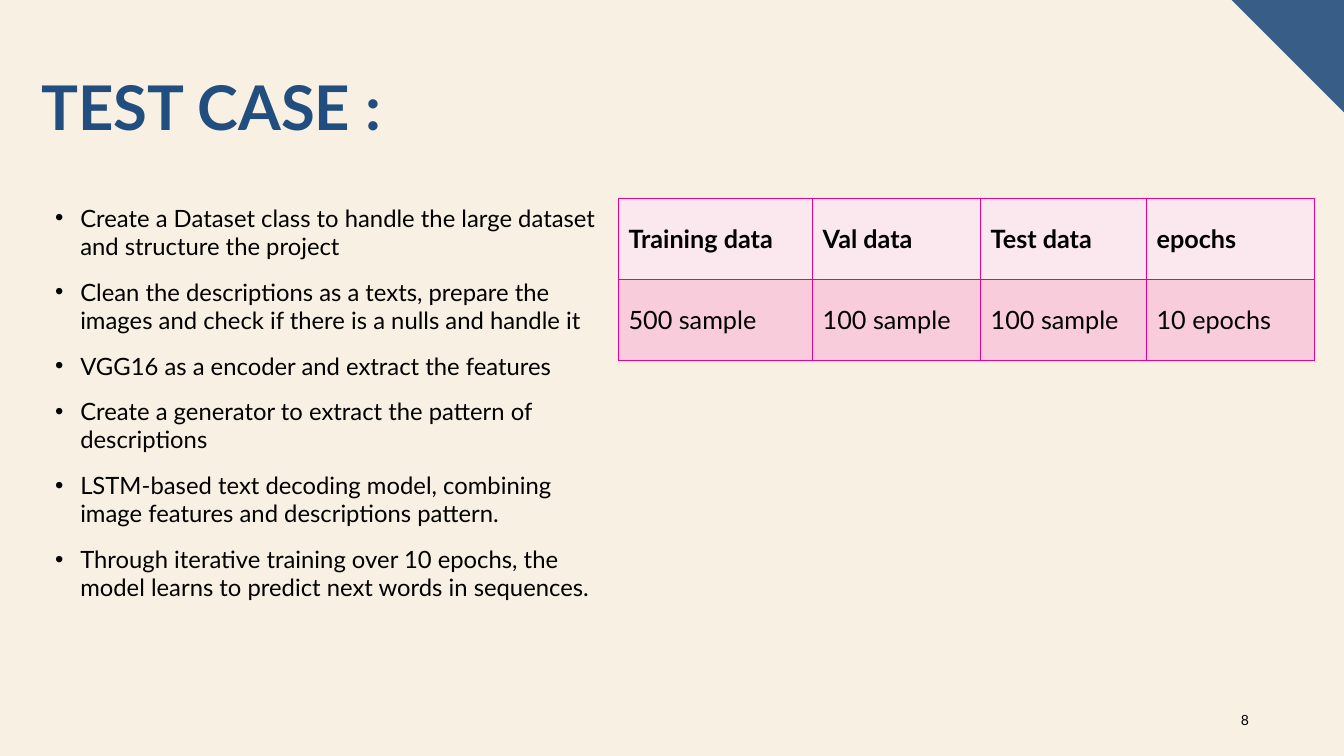
from lxml import etree
from pptx import Presentation
from pptx.dml.color import RGBColor
from pptx.enum.text import MSO_ANCHOR, PP_ALIGN
from pptx.oxml.ns import qn
from pptx.util import Pt

PX = 9525
FONT = "Lato"
TOP, MIDDLE = MSO_ANCHOR.TOP, MSO_ANCHOR.MIDDLE
LEFT, RIGHT = PP_ALIGN.LEFT, PP_ALIGN.RIGHT

CREAM = RGBColor(0xF8, 0xF0, 0xE3)
CORNER_BLUE = RGBColor(0x38, 0x5E, 0x88)
TITLE_BLUE = RGBColor(0x22, 0x4E, 0x7F)
BLACK = RGBColor(0, 0, 0)
MAGENTA = RGBColor(0xEC, 0x00, 0x8C)
HEADER_PINK = RGBColor(0xFB, 0xE7, 0xEE)
ROW_PINK = RGBColor(0xF8, 0xCC, 0xDA)

STEPS = [
    "Create a Dataset class to handle the large dataset and structure the project",
    "Clean the descriptions as a texts, prepare the images and check if there is a nulls and handle it",
    "VGG16 as a encoder and extract the features",
    "Create a generator to extract the pattern of descriptions",
    "LSTM-based text decoding model, combining image features and descriptions pattern.",
    "Through iterative training over 10 epochs, the model learns to predict next words in sequences.",
]
DATA_SPLIT = [
    ["Training data", "Val data", "Test data", "epochs"],
    ["500 sample", "100 sample", "100 sample", "10 epochs"],
]
COLUMN_WIDTHS = [185, 160, 158, 160]
ROW_HEIGHT = 77


def px(*lengths):
    return [n * PX for n in lengths]


def write(p, text, size, color=BLACK, bold=False, **paragraph_format):
    """Put one formatted run into a paragraph."""
    for name, value in paragraph_format.items():
        setattr(p, name, value)
    r = p.add_run()
    r.text = text
    font = {"name": FONT, "size": Pt(size), "bold": bold}
    for name, value in font.items():
        setattr(r.font, name, value)
    r.font.color.rgb = color


def add_corner(s):
    builder = s.shapes.build_freeform(1173, 0, scale=PX)
    builder.add_line_segments([(1280, 0), (1280, 107)], close=True)
    sp = builder.convert_to_shape()
    sp.shadow.inherit = False
    sp.fill.solid()
    sp.fill.fore_color.rgb = CORNER_BLUE
    sp.line.fill.background()


def set_title(s, text):
    sp = s.shapes.title
    sp.left, sp.top, sp.width, sp.height = px(30, 69, 1120, 139)
    tf = sp.text_frame
    tf.vertical_anchor = TOP
    write(tf.paragraphs[0], text, 44, TITLE_BLUE, True,
          alignment=LEFT, line_spacing=0.9)


def add_text_box(s, box, anchor):
    tf = s.shapes.add_textbox(*px(*box)).text_frame
    tf.word_wrap = True
    tf.vertical_anchor = anchor
    return tf


def add_bullets(s, box, items):
    tf = add_text_box(s, box, TOP)
    for i, item in enumerate(items):
        p = tf.add_paragraph() if i else tf.paragraphs[0]
        write(p, item, 17, space_after=Pt(12))
        pPr = p._p.get_or_add_pPr()
        pPr.set("marL", str(24 * PX))
        pPr.set("indent", str(-24 * PX))
        etree.SubElement(pPr, qn("a:buFont"), typeface="Arial")
        etree.SubElement(pPr, qn("a:buChar"), char="•")


def style_cell(cell, fill):
    """Outline all four sides, then fill; borders must come first in the XML."""
    tcPr = cell._tc.get_or_add_tcPr()
    for side in ("a:lnL", "a:lnR", "a:lnT", "a:lnB"):
        ln = etree.SubElement(tcPr, qn(side), w=str(Pt(1)))
        solid = etree.SubElement(ln, qn("a:solidFill"))
        etree.SubElement(solid, qn("a:srgbClr"), val=str(MAGENTA))
    cell.fill.solid()
    cell.fill.fore_color.rgb = fill
    cell.vertical_anchor = MIDDLE


def add_data_table(s, left, top, rows):
    size = (sum(COLUMN_WIDTHS), ROW_HEIGHT * len(rows))
    frame = s.shapes.add_table(len(rows), len(COLUMN_WIDTHS),
                               *px(left, top, *size))
    table = frame.table
    for column, width in zip(table.columns, px(*COLUMN_WIDTHS)):
        column.width = width
    for i, row in enumerate(rows):
        header = i == 0
        for j, text in enumerate(row):
            cell = table.cell(i, j)
            style_cell(cell, HEADER_PINK if header else ROW_PINK)
            write(cell.text_frame.paragraphs[0], text, 18, bold=header)


def add_page_number(s, number):
    tf = add_text_box(s, (1151, 667, 48, 38), MIDDLE)
    write(tf.paragraphs[0], number, 10, alignment=RIGHT)


def main():
    prs = Presentation()
    prs.slide_width, prs.slide_height = px(1280, 720)
    s = prs.slides.add_slide(prs.slide_layouts[5])
    s.background.fill.solid()
    s.background.fill.fore_color.rgb = CREAM
    add_corner(s)
    set_title(s, "TEST CASE :")
    add_bullets(s, (43, 189, 534, 393), STEPS)
    add_data_table(s, 589, 189, DATA_SPLIT)
    add_page_number(s, "8")
    prs.save("out.pptx")


if __name__ == "__main__":
    main()
